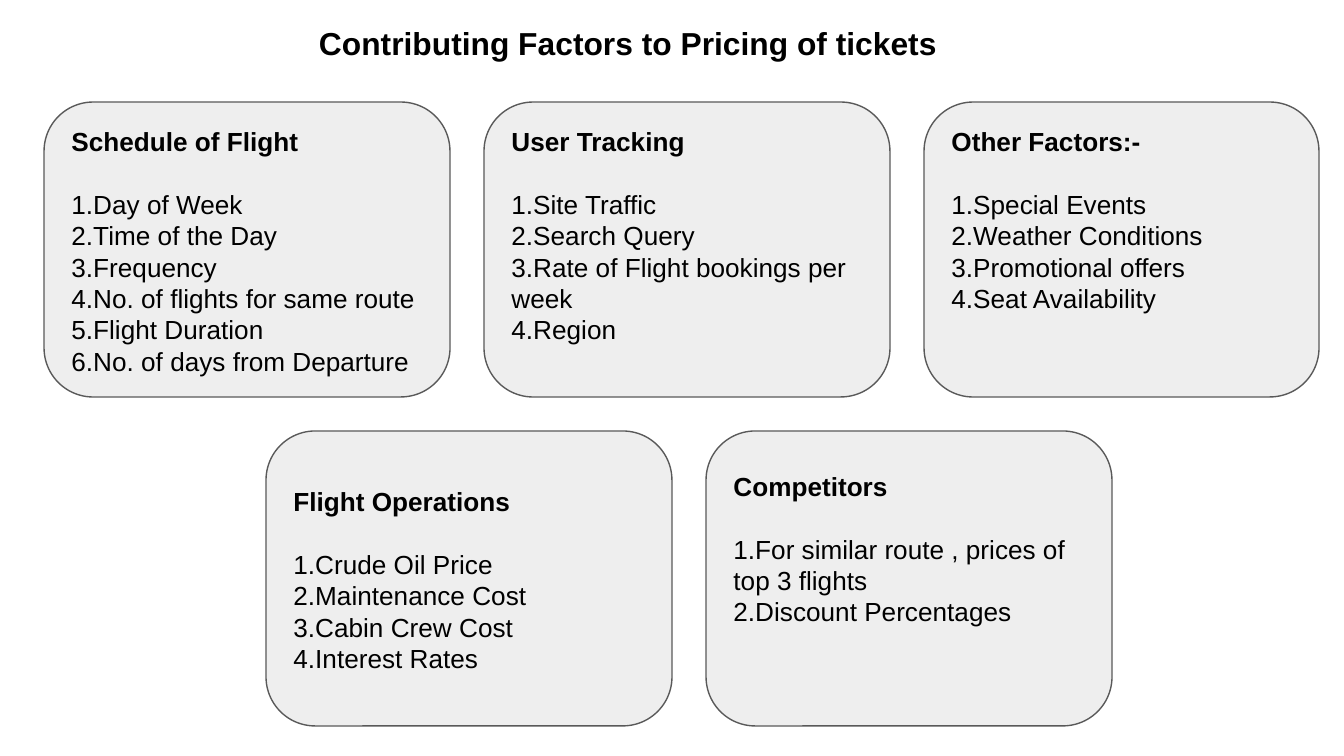
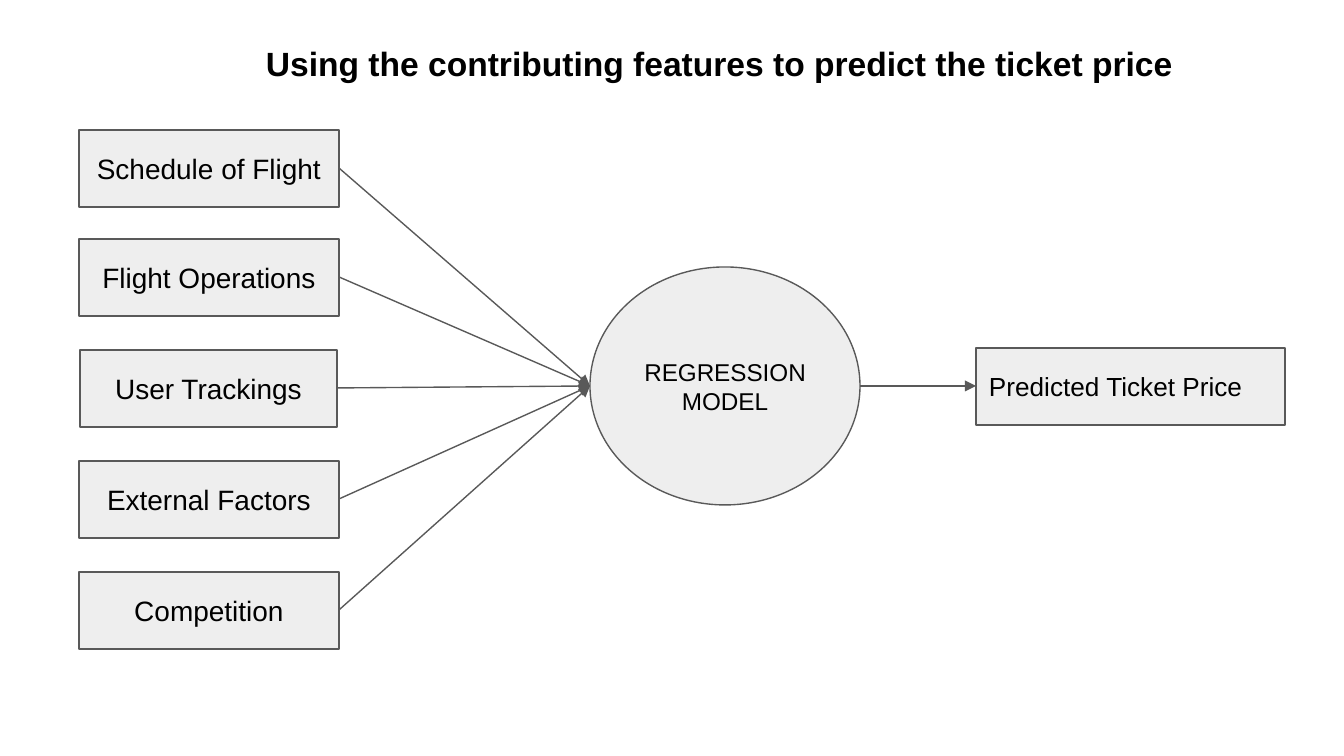
from dataclasses import dataclass

from lxml.etree import SubElement
from pptx import Presentation
from pptx.dml.color import RGBColor
from pptx.enum.shapes import MSO_CONNECTOR, MSO_SHAPE
from pptx.enum.text import MSO_ANCHOR, PP_ALIGN
from pptx.oxml.ns import qn
from pptx.util import Emu, Pt

# Shared look
FILL = RGBColor(0xEE, 0xEE, 0xEE)
EDGE = RGBColor(0x59, 0x59, 0x59)
INK = RGBColor(0, 0, 0)
FONT = "Arial"
INSET = 13
SCALE = 914400 / 134.4


def px(length: float) -> Emu:
    return Emu(round(length * SCALE))


@dataclass(frozen=True)
class Box:
    left: int
    top: int
    width: int
    height: int

    @property
    def middle(self) -> int:
        return self.top + self.height // 2

    @property
    def right(self) -> int:
        return self.left + self.width

    def frame(self) -> tuple[Emu, ...]:
        return px(self.left), px(self.top), px(self.width), px(self.height)


@dataclass(frozen=True)
class Card:
    box: Box
    inset: int
    heading: str
    items: tuple[str, ...]


@dataclass(frozen=True)
class Node:
    box: Box
    label: str
    size: int = 15
    kind: MSO_SHAPE = MSO_SHAPE.RECTANGLE
    align: PP_ALIGN = PP_ALIGN.CENTER


def write(shape, text: str, size: int, align=PP_ALIGN.LEFT, bold=False) -> None:
    frame = shape.text_frame
    frame.word_wrap = True
    frame.margin_left = frame.margin_right = px(INSET)
    frame.margin_top = frame.margin_bottom = px(INSET)
    frame.text = text
    for para in frame.paragraphs:
        para.alignment = align
        for run in para.runs:
            run.font.name = FONT
            run.font.size = Pt(size)
            run.font.bold = bold
            run.font.color.rgb = INK


def add_title(slide, box: Box, text: str, size: int) -> None:
    write(slide.shapes.add_textbox(*box.frame()), text, size, bold=True)


def add_panel(slide, kind: MSO_SHAPE, box: Box):
    shape = slide.shapes.add_shape(kind, *box.frame())
    shape.shadow.inherit = False
    shape.fill.solid()
    shape.fill.fore_color.rgb = FILL
    shape.line.color.rgb = EDGE
    shape.line.width = Pt(0.75)
    return shape


def add_card(slide, card: Card) -> None:
    shape = add_panel(slide, MSO_SHAPE.ROUNDED_RECTANGLE, card.box)
    write(shape, "\n".join((card.heading, *card.items)), 14)
    frame = shape.text_frame
    frame.vertical_anchor = MSO_ANCHOR.TOP
    frame.margin_top, frame.margin_bottom = px(card.inset), 0
    heading = frame.paragraphs[0]
    heading.space_after = Pt(16.8)
    heading.runs[0].font.bold = True


def add_node(slide, node: Node) -> None:
    shape = add_panel(slide, node.kind, node.box)
    write(shape, node.label, node.size, node.align)
    shape.text_frame.vertical_anchor = MSO_ANCHOR.MIDDLE


def add_arrow(slide, start: Box, end: Box) -> None:
    line = slide.shapes.add_connector(
        MSO_CONNECTOR.STRAIGHT,
        px(start.right), px(start.middle), px(end.left), px(end.middle))
    line.line.color.rgb = EDGE
    line.line.width = Pt(0.75)
    SubElement(line.line._get_or_add_ln(), qn("a:tailEnd"), type="triangle")
    SubElement(line._element.spPr, qn("a:effectLst"))


deck = Presentation()
deck.slide_width, deck.slide_height = px(1344), px(756)
blank = deck.slide_layouts[6]

# Slide 1: cards of pricing factors
STEP = 440
UPPER, LOWER = 102, 431


def slot(left: int, top: int, column: int, width: int = 406) -> Box:
    return Box(left + column * STEP, top, width, 295)


cards = (
    Card(slot(44, UPPER, 0), 9, "Schedule of Flight", (
        "1.Day of Week", "2.Time of the Day", "3.Frequency",
        "4.No. of flights for same route", "5.Flight Duration",
        "6.No. of days from Departure")),
    Card(slot(44, UPPER, 1), 9, "User Tracking", (
        "1.Site Traffic", "2.Search Query",
        "3.Rate of Flight bookings per week", "4.Region")),
    Card(slot(44, UPPER, 2, 395), 9, "Other Factors:-", (
        "1.Special Events", "2.Weather Conditions",
        "3.Promotional offers", "4.Seat Availability")),
    Card(slot(266, LOWER, 0), 40, "Flight Operations", (
        "1.Crude Oil Price", "2.Maintenance Cost",
        "3.Cabin Crew Cost", "4.Interest Rates")),
    Card(slot(266, LOWER, 1), 25, "Competitors", (
        "1.For similar route , prices of top 3 flights",
        "2.Discount Percentages")),
)
slide = deck.slides.add_slide(blank)
for card in cards:
    add_card(slide, card)
add_title(slide, Box(306, 11, 652, 103),
          "Contributing Factors to Pricing of tickets", 17)

# Slide 2: features feed the model, which gives the price
inputs = (
    Node(Box(79, 130, 260, 77), "Schedule of Flight"),
    Node(Box(79, 239, 260, 77), "Flight Operations"),
    Node(Box(80, 350, 257, 77), "User Trackings"),
    Node(Box(79, 461, 260, 77), "External Factors"),
    Node(Box(79, 572, 260, 77), "Competition"),
)
model = Node(Box(590, 267, 270, 238), "REGRESSION\nMODEL", 13, MSO_SHAPE.OVAL)
price = Node(Box(976, 348, 309, 77), "Predicted Ticket Price", 14,
             align=PP_ALIGN.LEFT)

slide = deck.slides.add_slide(blank)
for node in (model, *inputs, price):
    add_node(slide, node)
for node in inputs:
    add_arrow(slide, node.box, model.box)
add_arrow(slide, model.box, price.box)
add_title(slide, Box(253, 30, 946, 67),
          "Using the contributing features to predict the ticket price", 18)

deck.save("out.pptx")
